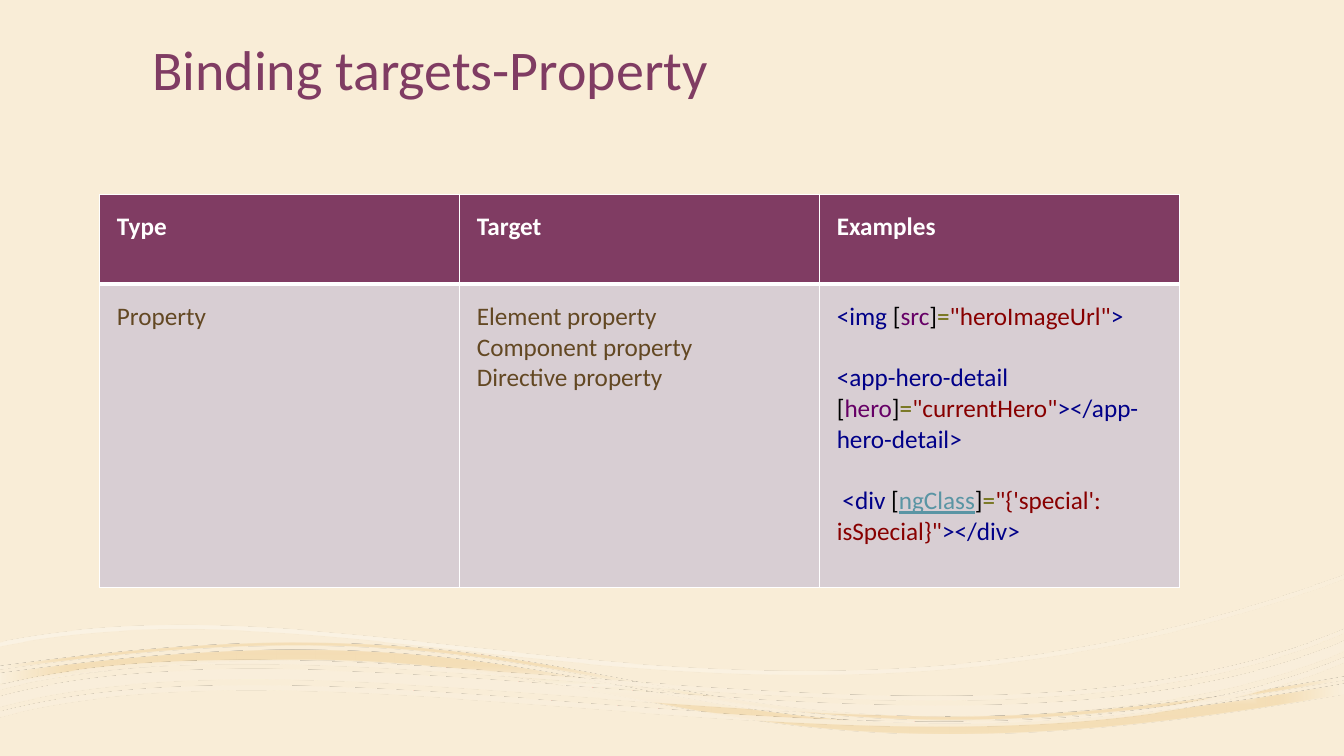
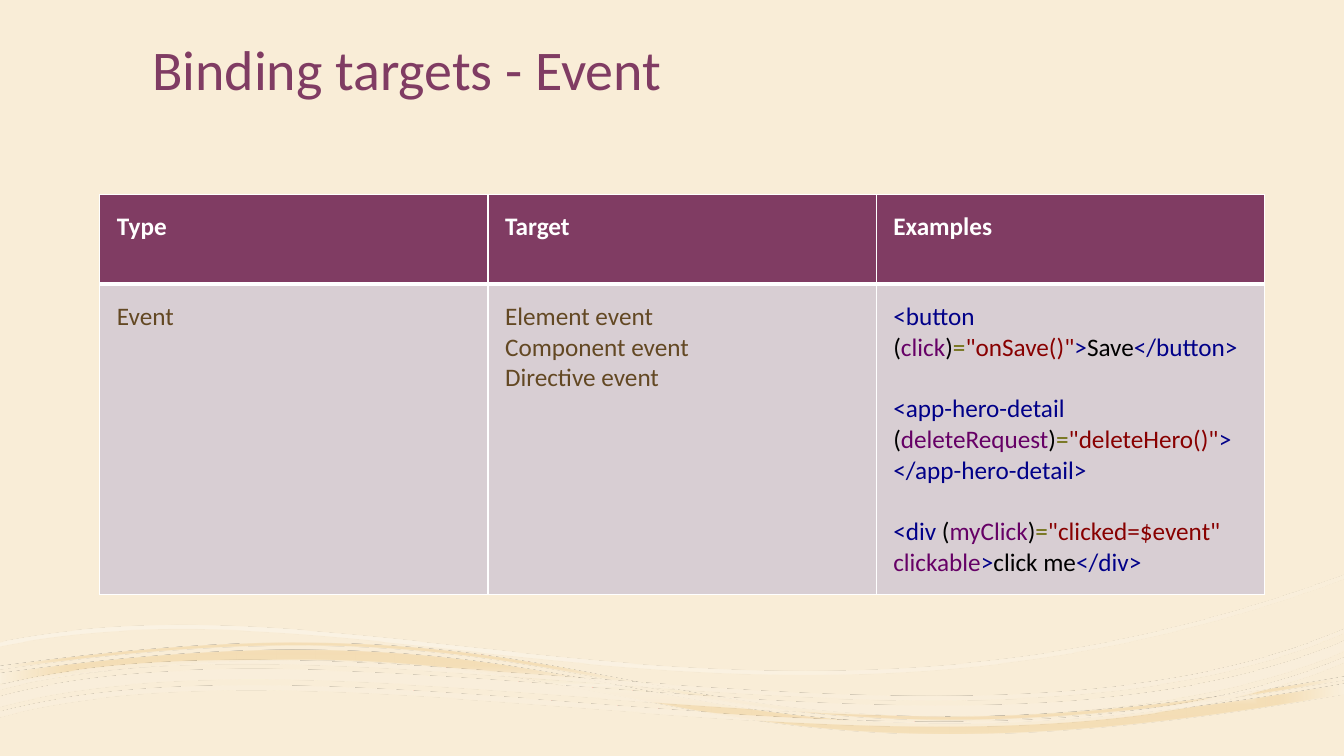
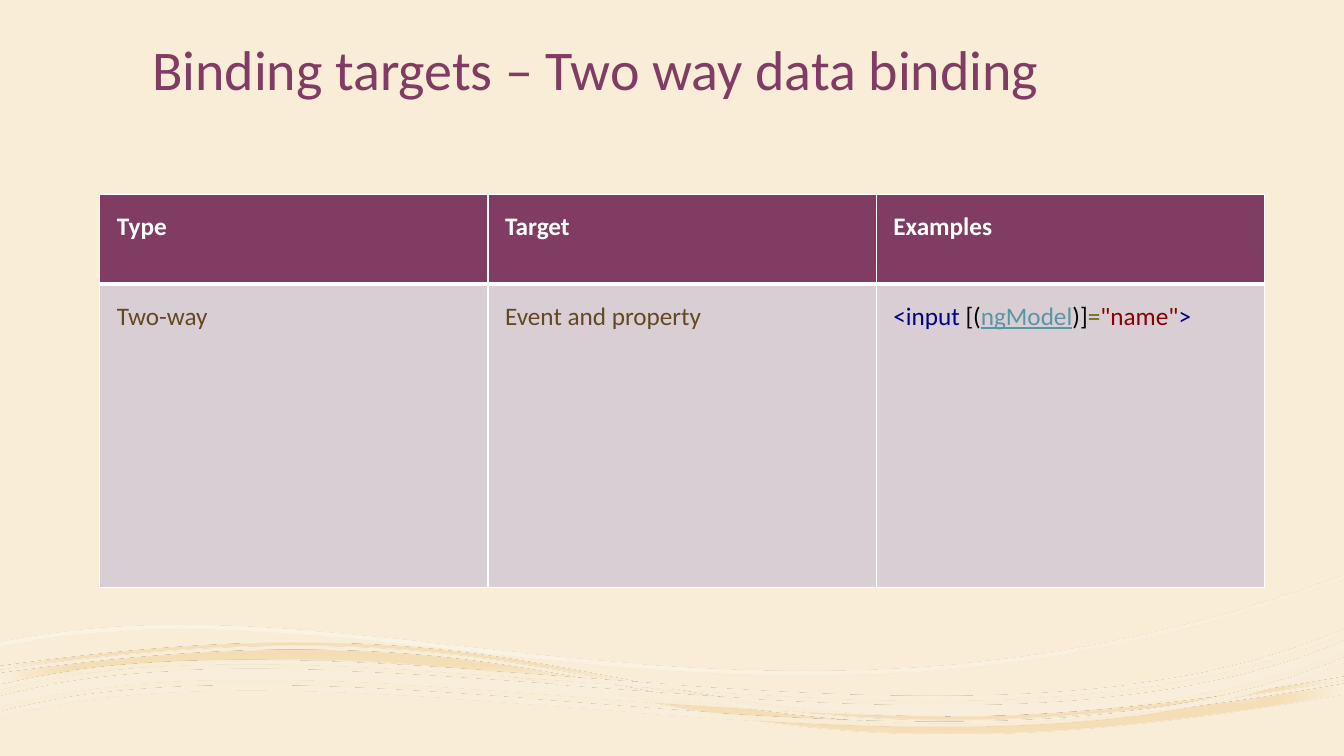
import math

from pptx import Presentation, oxml
from pptx import util as u
from pptx.dml.color import RGBColor
from pptx.enum import text
from pptx.oxml import ns

FONT = "Calibri"
CREAM = RGBColor(0xF9, 0xED, 0xD7)
PLUM = RGBColor(0x80, 0x3C, 0x63)
MAUVE = RGBColor(0xD8, 0xCE, 0xD3)
WHITE = RGBColor(0xFF, 0xFF, 0xFF)
BROWN = RGBColor(0x63, 0x48, 0x23)
TAG = RGBColor(0x00, 0x00, 0x88)
PLAIN = RGBColor(0x00, 0x00, 0x00)
NAME = RGBColor(0x66, 0x00, 0x66)
EQUALS = RGBColor(0x66, 0x66, 0x00)
VALUE = RGBColor(0x88, 0x00, 0x00)
LINK = RGBColor(0x5A, 0x95, 0xA4)
SAND = RGBColor(0xFA, 0xF1, 0xDF)
GOLD = RGBColor(0xF4, 0xDE, 0xB7)
HONEY = RGBColor(0xF4, 0xDD, 0xB3)
IVORY = RGBColor(0xFA, 0xEF, 0xDC)

HEADINGS = ("Type", "Target", "Examples")
TITLE_BOX = (1.41, 0.33, 10.5, 0.74)
HEADER_HEIGHT = 0.89
CELL_INSET = u.Inches(0.17)
CODE_GAP = u.Pt(22)
RIBBON_TURN = -3.5


def lowered(curve, drop):
    """Return the curve moved down by a distance."""
    return [(x, y + drop) for x, y in curve]


def strip(curve, thickness):
    """Return the two edges of a strip of even thickness."""
    return [curve, lowered(curve, thickness)[::-1]]


GOLD_START = [(3.06, 6.45), (2.22, 6.44), (1.24, 6.51), (0, 6.68)][::-1]
GOLD_END = [(3.06, 6.45), (6.7, 6.47), (7.38, 7.82), (13.33, 6.78)]
GOLD_BACK = [(13.33, 6.88), (6.02, 8.16), (6.67, 5.83), (0, 6.78)]
WHITE_EDGE = [(0, 6.37), (3.73, 5.59), (7.54, 7.84), (13.33, 5.7)]
PALE_LOW = [(13.33, 6.52), (9.55, 8.1), (3.49, 6.12), (0, 7.06)]
PALE_MIDDLE = [(13.33, 6.36), (9.55, 7.94), (3.49, 5.96), (0, 6.91)]
PALE_HIGH = [(13.33, 6.24), (9.58, 7.86), (3.51, 5.89), (0, 6.8)]

RIBBONS = [
    ((0.01, 6.12, 13.31, 1.35),
     [[GOLD_START, GOLD_END, GOLD_BACK],
      [lowered(GOLD_START, -0.07), lowered(GOLD_END, -0.07), lowered(GOLD_BACK, -0.14)]],
     [(0, SAND, 90), (18, GOLD, 100), (37, HONEY, 90), (100, SAND, 100)],
     '<a:path path="shape"><a:fillToRect l="50000" t="50000" r="50000" b="50000"/></a:path>'),
    ((0.03, 5.88, 13.35, 1.71),
     [strip(WHITE_EDGE, 0.04)],
     [(36, WHITE, 30), (100, CREAM, 48)],
     '<a:lin ang="2700000" scaled="1"/>'),
    ((-0.01, 6.25, 13.36, 1.15),
     [strip(PALE_LOW, 0.05), strip(PALE_MIDDLE, 0.1), strip(PALE_HIGH, 0.04)],
     [(36, WHITE, 47), (100, IVORY, 82)],
     '<a:path path="rect"><a:fillToRect l="100000" t="100000"/></a:path>'),
]


def turned_back(point, box):
    """Return a point relative to its box, with the ribbon's rotation undone."""
    left, top, width, height = box
    angle = math.radians(-RIBBON_TURN)
    x, y = point[0] - left - width / 2, point[1] - top - height / 2
    return (u.Inches(x * math.cos(angle) - y * math.sin(angle) + width / 2),
            u.Inches(x * math.sin(angle) + y * math.cos(angle) + height / 2))


def command(name, points):
    """Return one drawing command of an outline."""
    point_xml = "".join(f'<a:pt x="{x}" y="{y}"/>' for x, y in points)
    return oxml.parse_xml(f'<a:{name} {ns.nsdecls("a")}>{point_xml}</a:{name}>')


def outline_commands(outline, box):
    """Return the commands that draw a closed chain of cubic curves."""
    commands, last = [], None
    for curve in outline:
        points = [turned_back(point, box) for point in curve]
        if points[0] != last:
            commands.append(command("lnTo" if commands else "moveTo", points[:1]))
        commands.append(command("cubicBezTo", points[1:]))
        last = points[-1]
    return commands + [command("close", [])]


def add_ribbon(slide, box, outlines, stops, direction):
    """Draw one ribbon of curved outlines with a gradient in its box."""
    left, top, width, height = map(u.Inches, box)
    builder = slide.shapes.build_freeform(left, top, scale=1.0)
    builder.add_line_segments([(left + width, top), (left + width, top + height)], close=True)
    shape = builder.convert_to_shape()
    shape.rotation = RIBBON_TURN
    shape.shadow.inherit = False
    shape.line.fill.background()
    geometry = shape.element.spPr.find(ns.qn("a:custGeom"))
    drawing = geometry.find(ns.qn("a:pathLst"))[0]
    drawing[:] = [part for outline in outlines for part in outline_commands(outline, box)]
    stop_xml = "".join(
        f'<a:gs pos="{position * 1000}"><a:srgbClr val="{color}">'
        f'<a:alpha val="{alpha * 1000}"/></a:srgbClr></a:gs>'
        for position, color, alpha in stops)
    geometry.addnext(oxml.parse_xml(
        f'<a:gradFill {ns.nsdecls("a")} rotWithShape="1">'
        f'<a:gsLst>{stop_xml}</a:gsLst>{direction}</a:gradFill>'))
    return shape


def decorate_layout(layout, slide):
    """Give the layout its background and ribbons, drawn by way of a slide."""
    layout.background.fill.solid()
    layout.background.fill.fore_color.rgb = CREAM
    for placeholder in list(layout.placeholders):
        layout.shapes.element.remove(placeholder.element)
    for ribbon in RIBBONS:
        layout.shapes.element.append(add_ribbon(slide, *ribbon).element)


def style_run(run, size, color, bold=False):
    """Set the font of a run."""
    run.font.name = FONT
    run.font.size = u.Pt(size)
    run.font.bold = bold
    run.font.color.rgb = color


def add_title(slide, title, box):
    """Place the slide title in its box."""
    frame = slide.shapes.add_textbox(*map(u.Inches, box)).text_frame
    frame.word_wrap = True
    frame.vertical_anchor = text.MSO_ANCHOR.BOTTOM
    frame.text = title
    frame.paragraphs[0].line_spacing = 0.9
    style_run(frame.paragraphs[0].runs[0], 40, PLUM)


def style_cell(cell, fill, top, bottom):
    """Set the fill, margins and white borders of a cell."""
    cell.margin_left = cell.margin_right = cell.margin_top = cell.margin_bottom = CELL_INSET
    cell.fill.solid()
    cell.fill.fore_color.rgb = fill
    properties = cell._tc.get_or_add_tcPr()
    for index, (side, width) in enumerate((("L", 1), ("R", 1), ("T", top), ("B", bottom))):
        properties.insert(index, oxml.parse_xml(
            f'<a:ln{side} {ns.nsdecls("a")} w="{u.Pt(width)}"><a:solidFill>'
            f'<a:srgbClr val="{WHITE}"/></a:solidFill></a:ln{side}>'))


def write_lines(cell, lines, color, bold=False):
    """Write plain lines in a cell as one paragraph."""
    paragraph = cell.text_frame.paragraphs[0]
    for index, line in enumerate(lines):
        if index:
            paragraph.add_line_break()
        run = paragraph.add_run()
        run.text = line
        style_run(run, 18, color, bold)


def write_code(cell, examples):
    """Write coloured code, with a gap between examples of one or more lines."""
    frame = cell.text_frame
    lines = [(line, number > 0 and index == 0)
             for number, example in enumerate(examples) for index, line in enumerate(example)]
    for index, (line, gap) in enumerate(lines):
        paragraph = frame.add_paragraph() if index else frame.paragraphs[0]
        if gap:
            paragraph.space_before = CODE_GAP
        for words, color in line:
            run = paragraph.add_run()
            run.text = words
            style_run(run, 18, color)
            run.font.underline = color == LINK


def add_binding_table(slide, kind, targets, examples, box):
    """Place the table of one binding type in its box."""
    left, top, width, height = box
    table = slide.shapes.add_table(2, len(HEADINGS), *map(u.Inches, box)).table
    table.rows[0].height = u.Inches(HEADER_HEIGHT)
    table.rows[1].height = u.Inches(height - HEADER_HEIGHT)
    for index, heading in enumerate(HEADINGS):
        table.columns[index].width = u.Inches(width / len(HEADINGS))
        style_cell(table.cell(0, index), PLUM, 1, 3)
        style_cell(table.cell(1, index), MAUVE, 3, 1)
        write_lines(table.cell(0, index), [heading], WHITE, True)
    write_lines(table.cell(1, 0), [kind], BROWN)
    write_lines(table.cell(1, 1), targets, BROWN)
    write_code(table.cell(1, 2), examples)


def binding(tag, opening, name, closing, value, *tail, name_color=NAME):
    """Return the coloured parts of a line that binds a name to a value."""
    return [(tag, TAG), (" " + opening, PLAIN), (name, name_color), (closing, PLAIN),
            ("=", EQUALS), (value, VALUE), *tail]


SLIDES = [
    ("Binding targets-Property", "Property",
     ["Element property", "Component property", "Directive property"],
     [[binding("<img", "[", "src", "]", '"heroImageUrl"', (">", TAG))],
      [binding("<app-hero-detail", "[", "hero", "]", '"currentHero"',
               ("></app-hero-detail>", TAG))],
      [[(" ", PLAIN)] + binding("<div", "[", "ngClass", "]", "\"{'special': isSpecial}\"",
                                ("></div>", TAG), name_color=LINK)]],
     (0.99, 1.93, 10.71, 3.9)),
    ("Binding targets - Event", "Event",
     ["Element event", "Component event", "Directive event"],
     [[binding("<button", "(", "click", ")", '"onSave()"',
               (">", TAG), ("Save", PLAIN), ("</button>", TAG))],
      [binding("<app-hero-detail", "(", "deleteRequest", ")", '"deleteHero()"', (">", TAG)),
       [("</app-hero-detail>", TAG)]],
      [binding("<div", "(", "myClick", ")", '"clicked=$event" ', ("clickable", NAME),
               (">", TAG), ("click me", PLAIN), ("</div>", TAG))]],
     (0.99, 1.93, 11.55, 3.97)),
    ("Binding targets – Two way data binding", "Two-way",
     ["Event and property"],
     [[binding("<input", "[(", "ngModel", ")]", '"name"', (">", TAG), name_color=LINK)]],
     (0.99, 1.93, 11.55, 3.9)),
]


def main():
    """Build and save the presentation."""
    presentation = Presentation()
    presentation.slide_width = u.Inches(13.33)
    presentation.slide_height = u.Inches(7.5)
    layout = presentation.slide_layouts[6]
    for index, (title, kind, targets, examples, table_box) in enumerate(SLIDES):
        slide = presentation.slides.add_slide(layout)
        if index == 0:
            decorate_layout(layout, slide)
        add_title(slide, title, TITLE_BOX)
        add_binding_table(slide, kind, targets, examples, table_box)
    presentation.save("out.pptx")


if __name__ == "__main__":
    main()
